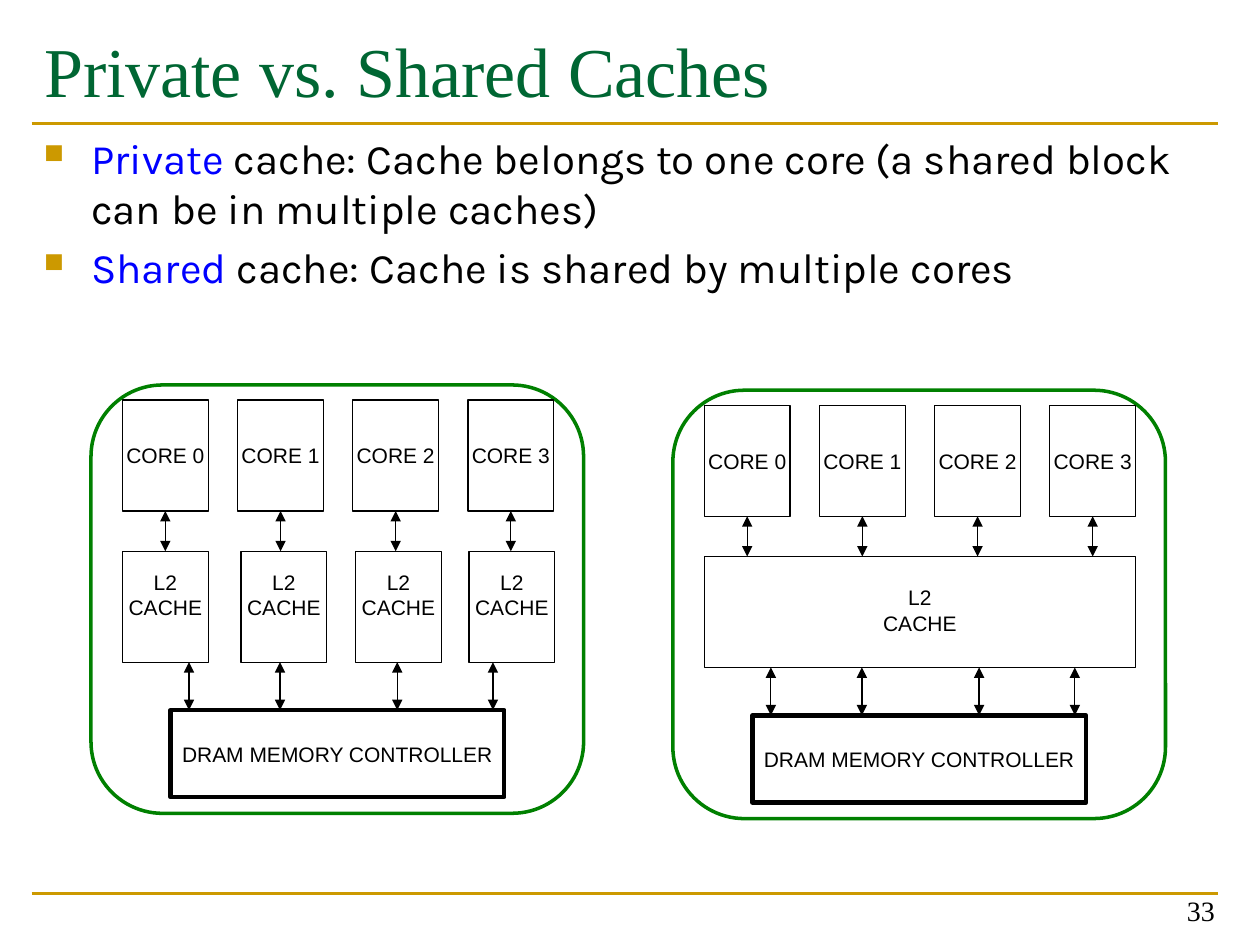
from dataclasses import dataclass

from lxml.etree import SubElement
from pptx import Presentation
from pptx.dml.color import RGBColor
from pptx.enum.shapes import MSO_CONNECTOR as Connector, MSO_SHAPE as Shape
from pptx.enum.text import MSO_ANCHOR as Anchor, MSO_AUTO_SIZE as AutoSize, PP_ALIGN as Align
from pptx.oxml.ns import qn
from pptx.util import Pt


@dataclass(frozen=True)
class Theme:
    title: str = "006633"
    gold: str = "CC9900"
    keyword: str = "0000FF"
    chip: str = "008000"
    ink: str = "000000"
    serif: str = "Times New Roman"
    body: str = "Karla"
    label: str = "Arial"
    title_size: float = 40
    body_size: float = 24
    number_size: float = 16
    label_size: float = 12
    thin: float = 0.75
    rule: float = 1.5
    frame: float = 2
    thick: float = 2.5


THEME = Theme()
CORE_COUNT = 4
CORE_LEFT, CORE_PITCH = 18, 65.8
BOX_WIDTH, BOX_HEIGHT = 49, 63.4
CORE_TOP, CACHE_TOP, DRAM_TOP = 8.6, 95, 185.8
PRIVATE_CACHE_LEFTS = (18, 85.7, 151.2, 216)
DRAM_ARROWS = (56, 108, 175, 229.7)


def place(shape, left, top, width, height):
    shape.left, shape.top = Pt(left), Pt(top)
    shape.width, shape.height = Pt(width), Pt(height)


def format_run(run, font, size, color):
    run.font.name = font
    run.font.size = Pt(size)
    run.font.color.rgb = RGBColor.from_string(color)


def format_paragraphs(text_frame, font, size, color, alignment):
    for paragraph in text_frame.paragraphs:
        paragraph.alignment = alignment
        for run in paragraph.runs:
            format_run(run, font, size, color)


def add_title(slide, text):
    title = slide.shapes.title
    place(title, 18, 12.2, 678, 84.2)
    text_frame = title.text_frame
    text_frame.text = text
    text_frame.auto_size = AutoSize.NONE
    text_frame.vertical_anchor = Anchor.TOP
    format_paragraphs(text_frame, THEME.serif, THEME.title_size, THEME.title, Align.LEFT)


def add_bullet(paragraph):
    properties = paragraph._p.get_or_add_pPr()
    properties.set("marL", str(Pt(27)))
    properties.set("indent", str(-Pt(27)))
    color = SubElement(properties, qn("a:buClr"))
    SubElement(color, qn("a:srgbClr"), val=THEME.gold)
    SubElement(properties, qn("a:buSzPct"), val="65000")
    SubElement(properties, qn("a:buChar"), char="■")


def add_definitions(slide, definitions):
    box = slide.shapes.add_textbox(Pt(18), Pt(72), Pt(678), Pt(415.4))
    text_frame = box.text_frame
    text_frame.word_wrap = True
    text_frame.text = "\n".join(keyword for keyword, _ in definitions)
    for paragraph, (_, meaning) in zip(text_frame.paragraphs, definitions):
        paragraph.space_before = Pt(4.8)
        add_bullet(paragraph)
        format_run(paragraph.runs[0], THEME.body, THEME.body_size, THEME.keyword)
        run = paragraph.add_run()
        run.text = meaning
        format_run(run, THEME.body, THEME.body_size, THEME.ink)


def add_slide_number(slide, number):
    box = slide.shapes.add_textbox(Pt(533.5), Pt(497.5), Pt(167.8), Pt(36))
    text_frame = box.text_frame
    text_frame.word_wrap = True
    text_frame.vertical_anchor = Anchor.BOTTOM
    text_frame.text = number
    format_paragraphs(text_frame, THEME.serif, THEME.number_size, THEME.ink, Align.RIGHT)


def add_line(shapes, start, end, color, width):
    line = shapes.add_connector(Connector.STRAIGHT, *map(Pt, start + end))
    line.line.color.rgb = RGBColor.from_string(color)
    line.line.width = Pt(width)
    SubElement(line._element.spPr, qn("a:effectLst"))
    return line


def add_double_arrow(shapes, x, top, bottom):
    arrow = add_line(shapes, (x, top), (x, bottom), THEME.ink, THEME.thin)
    outline = arrow.line._get_or_add_ln()
    for end in ("a:headEnd", "a:tailEnd"):
        SubElement(outline, qn(end), type="triangle")


def add_outline(shapes, kind, bounds, color, width):
    shape = shapes.add_shape(kind, *map(Pt, bounds))
    shape.shadow.inherit = False
    shape.fill.background()
    shape.line.color.rgb = RGBColor.from_string(color)
    shape.line.width = Pt(width)
    return shape


def add_block(shapes, bounds, text, width=THEME.thin, raise_by=0):
    block = add_outline(shapes, Shape.RECTANGLE, bounds, THEME.ink, width)
    text_frame = block.text_frame
    text_frame.word_wrap = False
    text_frame.margin_left = text_frame.margin_right = text_frame.margin_top = 0
    text_frame.margin_bottom = Pt(2 * raise_by)
    text_frame.vertical_anchor = Anchor.MIDDLE
    text_frame.text = text
    format_paragraphs(text_frame, THEME.label, THEME.label_size, THEME.ink, Align.CENTER)


def add_chip(slide, left, top, caches, raise_by):
    shapes = slide.shapes.add_group_shape().shapes
    chip = add_outline(shapes, Shape.ROUNDED_RECTANGLE, (left, top, 281.5, 244.8), THEME.chip, THEME.frame)
    chip.adjustments[0] = 0.167
    for index in range(CORE_COUNT):
        core_left = left + CORE_LEFT + index * CORE_PITCH
        add_block(shapes, (core_left, top + CORE_TOP, BOX_WIDTH, BOX_HEIGHT), f"CORE {index}")
        add_double_arrow(shapes, core_left + BOX_WIDTH / 2, top + CORE_TOP + BOX_HEIGHT, top + CACHE_TOP)
    for offset, width in caches:
        bounds = (left + offset, top + CACHE_TOP, width, BOX_HEIGHT)
        add_block(shapes, bounds, "L2\nCACHE", raise_by=raise_by)
    for offset in DRAM_ARROWS:
        add_double_arrow(shapes, left + offset, top + CACHE_TOP + BOX_HEIGHT, top + DRAM_TOP)
    add_block(shapes, (left + 45.4, top + DRAM_TOP, 190.8, 49.7), "DRAM MEMORY CONTROLLER", THEME.thick)


def main():
    presentation = Presentation()
    presentation.slide_width, presentation.slide_height = Pt(720), Pt(540)
    slide = presentation.slides.add_slide(presentation.slide_layouts[5])
    for y in (70.6, 510.5):
        add_line(slide.shapes, (18, y), (696, y), THEME.gold, THEME.rule)
    add_title(slide, "Private vs. Shared Caches")
    add_definitions(slide, [
        ("Private", " cache: Cache belongs to one core (a shared block can be in multiple caches)"),
        ("Shared", " cache: Cache is shared by multiple cores"),
    ])
    add_slide_number(slide, "33")
    private_caches = [(offset, BOX_WIDTH) for offset in PRIVATE_CACHE_LEFTS]
    shared_cache = [(CORE_LEFT, (CORE_COUNT - 1) * CORE_PITCH + BOX_WIDTH)]
    add_chip(slide, 52, 220, private_caches, raise_by=7)
    add_chip(slide, 384.5, 223, shared_cache, raise_by=1)
    presentation.save("out.pptx")


if __name__ == "__main__":
    main()
